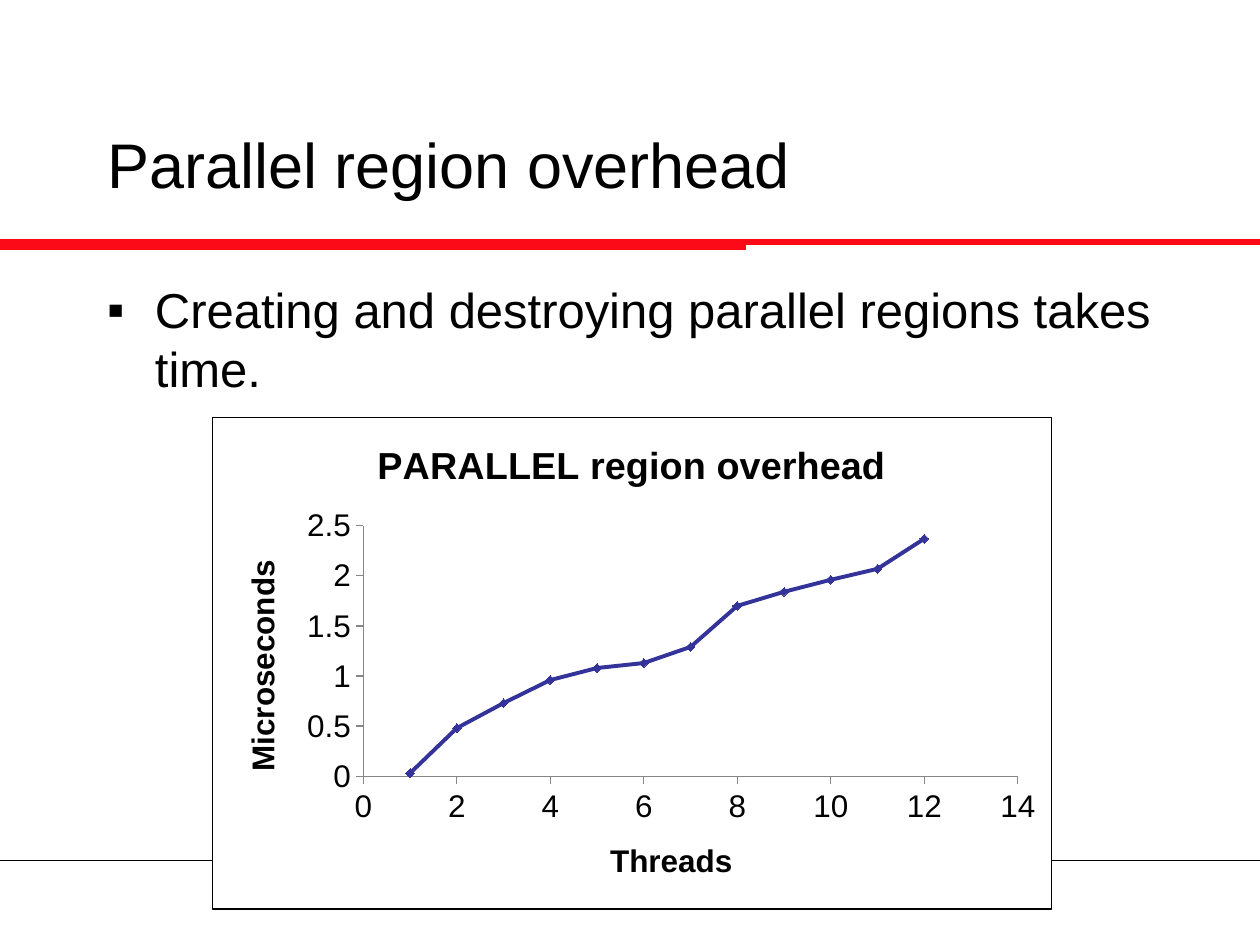
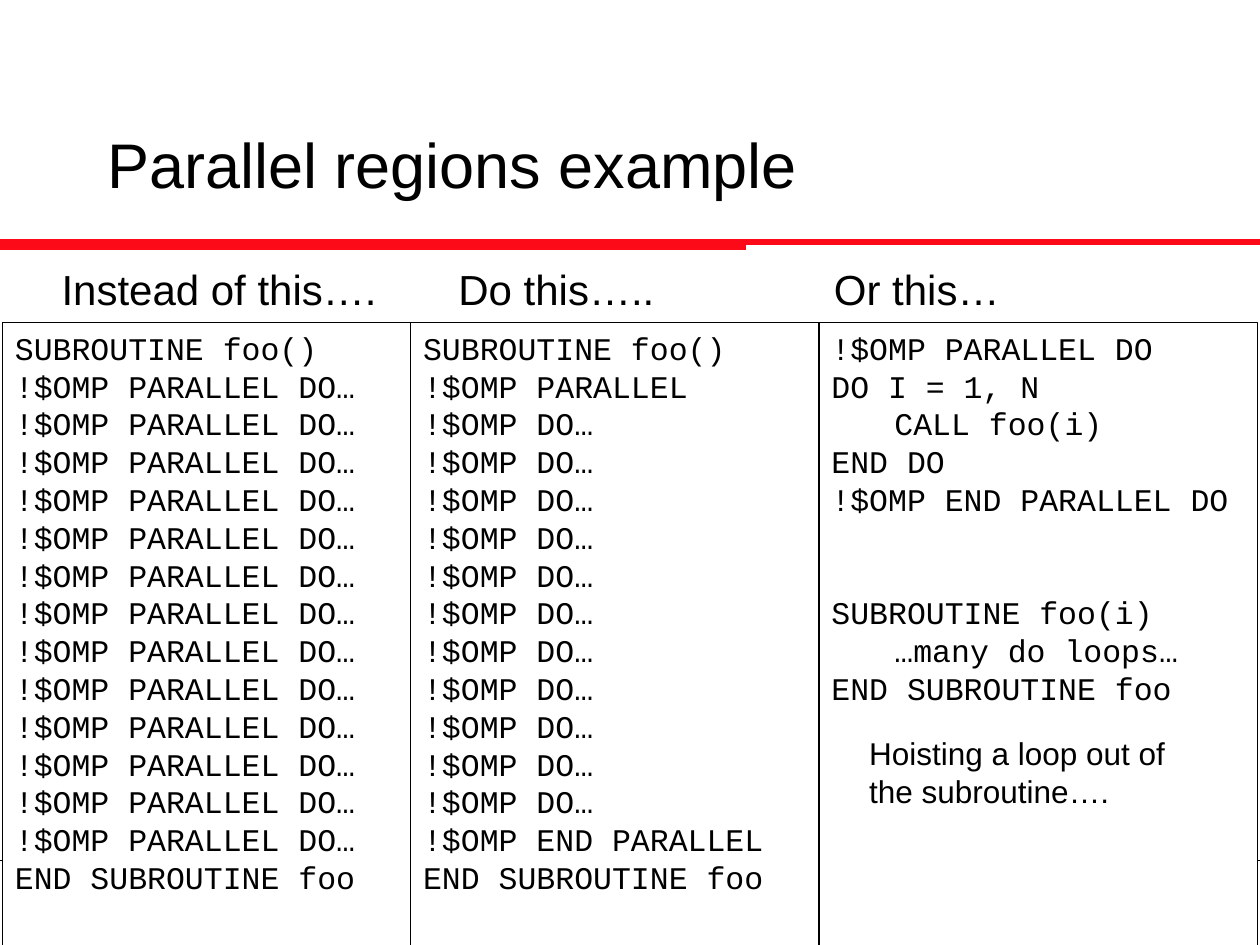
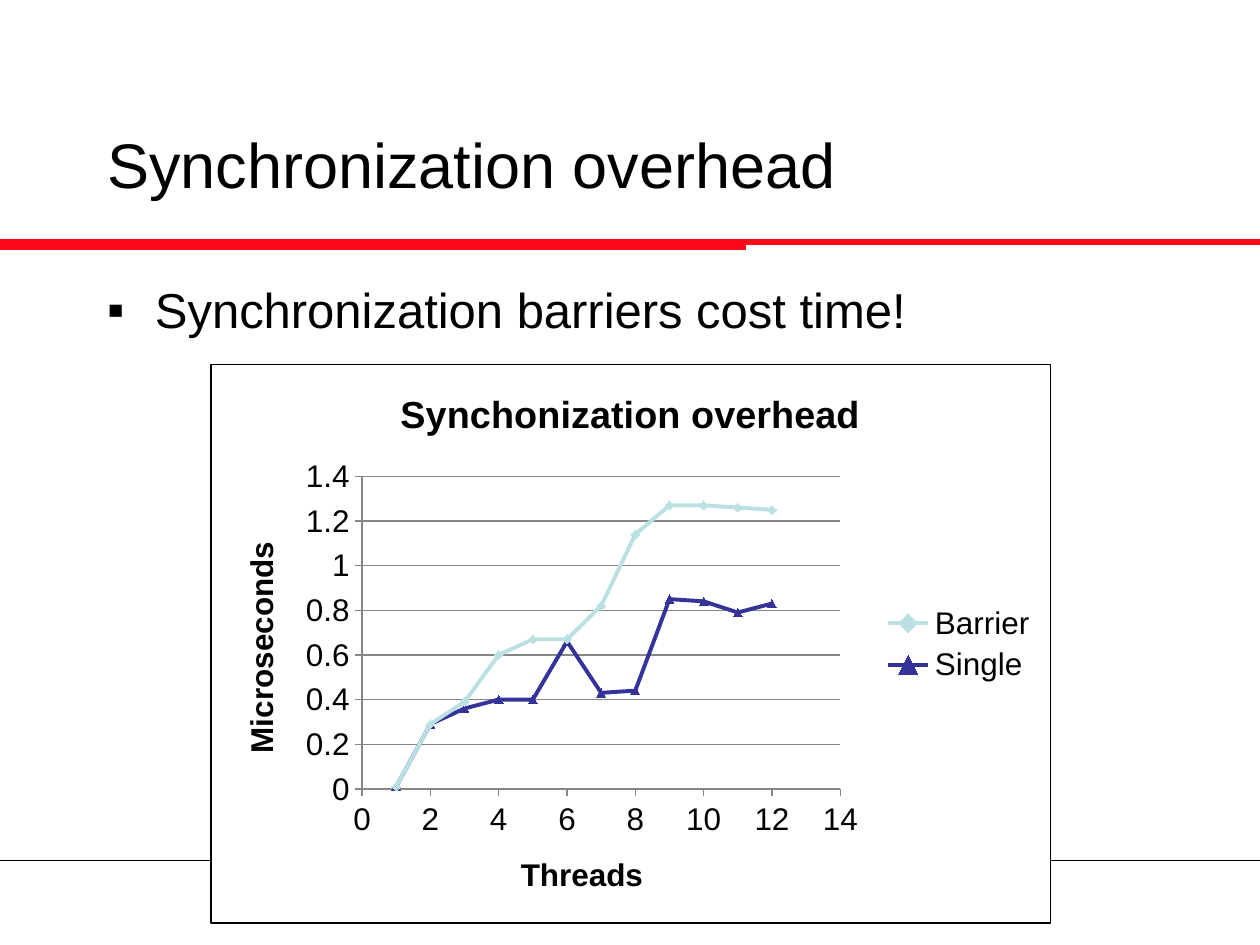
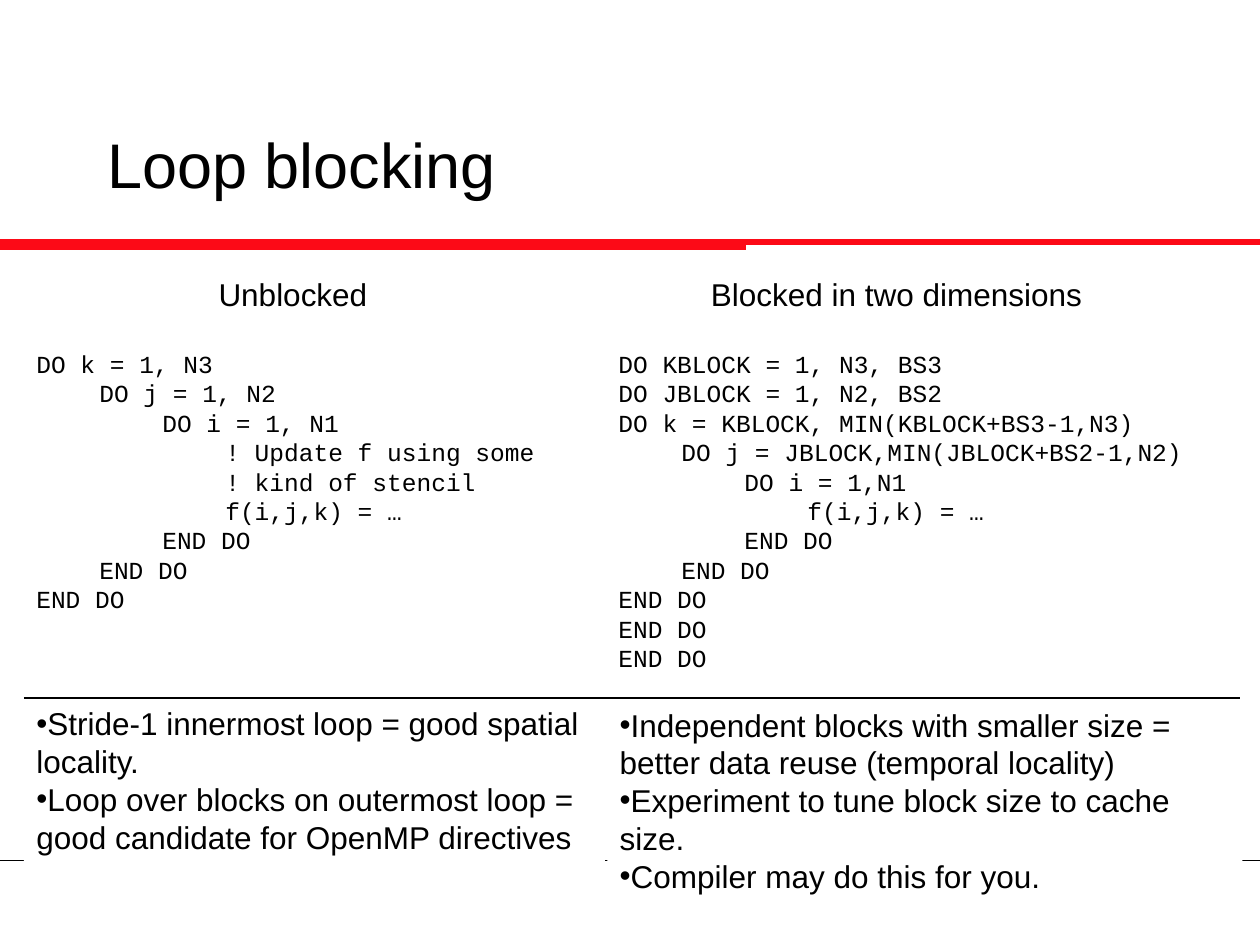
"""Build four slides on parallel regions, synchronization and loop blocking."""
from dataclasses import dataclass
from itertools import accumulate
from typing import NamedTuple

from lxml import etree
from pptx import Presentation
from pptx import util as u
from pptx.chart.data import XyChartData
from pptx.dml.color import RGBColor
from pptx.enum import chart as charts, shapes, text
from pptx.oxml import parse_xml
from pptx.oxml.ns import nsdecls, qn

WIDTH, HEIGHT = u.Inches(10), u.Inches(7.5)
COLUMN, ROW = WIDTH / 100, HEIGHT / 75
TITLE_AND_BODY, TITLE_ONLY = 1, 5


@dataclass(frozen=True)
class Theme:
    """Colours, fonts and type sizes of the deck."""
    black: str = "000000"
    white: str = "FFFFFF"
    red: str = "FC0A17"
    navy: str = "333399"
    pale: str = "BBE0E3"
    grey: str = "868686"
    sans: str = "Arial"
    mono: str = "Courier New"
    title: float = 36
    body: float = 28
    heading: float = 24
    chart_title: float = 21.6
    normal: float = 18
    code: float = 14
    thin: float = 0.75


THEME = Theme()


class Frame(NamedTuple):
    """A rectangle in grid columns and rows."""
    left: float
    top: float
    width: float
    height: float

    def lengths(self) -> tuple[int, int, int, int]:
        """Return left, top, width and height as slide lengths."""
        return (int(self.left * COLUMN), int(self.top * ROW),
                int(self.width * COLUMN), int(self.height * ROW))


class Rule(NamedTuple):
    """A horizontal line in grid units."""
    left: float
    right: float
    top: float
    color: str
    weight: float


class Panel(NamedTuple):
    """A bordered listing with the heading above it."""
    width: float
    height: float
    lines: list[str]
    heading: str
    heading_left: float
    heading_width: float


class Caption(NamedTuple):
    """Text with its frame."""
    frame: Frame
    lines: list[str]


class Series(NamedTuple):
    """One chart line."""
    name: str
    values: list[float]
    color: str
    marker: charts.XL_MARKER_STYLE


class Graph(NamedTuple):
    """A scatter chart with its scale and the plot's share of its area."""
    title: str
    frame: Frame
    plot: tuple[float, float, float, float]
    maximum: float
    step: float
    gridlines: bool
    series: list[Series]


MASTER_RULES = [
    Rule(0, 100, 19.2, THEME.red, 3),
    Rule(0, 59.2, 19.4, THEME.red, 6.5),
    Rule(0, 100, 68.3, THEME.black, 0.25),
]
TITLE_FRAME = Frame(7.5, 6.7, 85, 12.5)

REGION_GRAPH = Graph(
    "PARALLEL region overhead", Frame(16.8, 33.1, 66.7, 39.1),
    (0.18, 0.22, 0.78, 0.51), 2.5, 0.5, False,
    [Series("Series 1", [0.03, 0.48, 0.73, 0.96, 1.08, 1.13, 1.29, 1.7, 1.84,
                         1.96, 2.07, 2.37],
            THEME.navy, charts.XL_MARKER_STYLE.DIAMOND)])
SYNC_GRAPH = Graph(
    "Synchonization overhead", Frame(16.7, 28.9, 66.7, 44.4),
    (0.18, 0.2, 0.57, 0.56), 1.4, 0.2, True,
    [Series("Barrier", [0.01, 0.29, 0.39, 0.6, 0.67, 0.67, 0.82, 1.14, 1.27,
                        1.27, 1.26, 1.25],
            THEME.pale, charts.XL_MARKER_STYLE.DIAMOND),
     Series("Single", [0.01, 0.29, 0.36, 0.4, 0.4, 0.66, 0.43, 0.44, 0.85,
                       0.84, 0.79, 0.83],
            THEME.navy, charts.XL_MARKER_STYLE.TRIANGLE)])

HOISTED_CALL = ["!$OMP PARALLEL DO", "DO I = 1, N", "\tCALL foo(i)", "END DO",
                "!$OMP END PARALLEL DO"]
HOISTED_ROUTINE = ["SUBROUTINE foo(i)", "\t…many do loops…",
                   "END SUBROUTINE foo"]
PANELS = [
    Panel(32.4, 49.5,
          ["SUBROUTINE foo()", *["!$OMP PARALLEL DO…"] * 13,
           "END SUBROUTINE foo"],
          "Instead of this….", 3.9, 31.7),
    Panel(32.4, 49.5,
          ["SUBROUTINE foo()", "!$OMP PARALLEL", *["!$OMP DO…"] * 11,
           "!$OMP END PARALLEL", "END SUBROUTINE foo"],
          "Do this…..", 35.4, 29.6),
    Panel(34.8, 52.5, HOISTED_CALL + HOISTED_ROUTINE, "Or this…", 65.2, 34.8),
]

BLOCKING_HEADINGS = [
    Caption(Frame(1.9, 21.3, 42.7, 4), ["Unblocked"]),
    Caption(Frame(49.8, 21.3, 42.7, 4), ["Blocked in two dimensions"]),
]
BLOCKING_CODE = [
    Caption(Frame(1.9, 27.2, 42.7, 22.2), [
        "DO k = 1, N3",
        "\tDO j = 1, N2",
        "\t\tDO i = 1, N1",
        "\t\t\t! Update f using some",
        "\t\t\t! kind of stencil",
        "\t\t\tf(i,j,k) = …",
        "\t\tEND DO",
        "\tEND DO",
        "END DO"]),
    Caption(Frame(48.1, 27.2, 50.4, 26.9), [
        "DO KBLOCK = 1, N3, BS3",
        "DO JBLOCK = 1, N2, BS2",
        "DO k = KBLOCK, MIN(KBLOCK+BS3-1,N3)",
        "\tDO j = JBLOCK,MIN(JBLOCK+BS2-1,N2)",
        "\t\tDO i = 1,N1",
        "\t\t\tf(i,j,k) = …",
        "\t\tEND DO",
        "\tEND DO",
        *["END DO"] * 3]),
]
BLOCKING_NOTES = [
    Caption(Frame(1.9, 55.4, 46.1, 13.1), [
        "Stride-1 innermost loop = good spatial locality.",
        "Loop over blocks on outermost loop = good candidate for OpenMP "
        "directives"]),
    Caption(Frame(48.2, 55.5, 50.4, 16.2), [
        "Independent blocks with smaller size = better data reuse "
        "(temporal locality)",
        "Experiment to tune block size to cache size.",
        "Compiler may do this for you."]),
]


def rgb(color: str) -> RGBColor:
    """Turn a hex string into a colour."""
    return RGBColor.from_string(color)


def style_font(font, size: float, name: str = THEME.sans,
               bold: bool = False) -> None:
    """Give a font its face, size, weight and black colour."""
    font.name, font.size, font.bold = name, u.Pt(size), bold
    font.color.rgb = rgb(THEME.black)


def style_line(line, color: str, weight: float) -> None:
    """Give a line its colour and weight."""
    line.color.rgb, line.width = rgb(color), u.Pt(weight)


def write(frame, lines: list[str], *, size: float = THEME.normal,
          font: str = THEME.sans, align=text.PP_ALIGN.LEFT,
          anchor=text.MSO_ANCHOR.TOP, bullet: str = "", indent: float = 0,
          gaps: dict[int, float] | None = None,
          fit=text.MSO_AUTO_SIZE.SHAPE_TO_FIT_TEXT) -> None:
    """Fill a text frame with one formatted paragraph per line."""
    frame.word_wrap, frame.auto_size = True, fit
    frame.vertical_anchor = anchor
    for index, line in enumerate(lines):
        paragraph = frame.add_paragraph() if index else frame.paragraphs[0]
        paragraph.alignment = align
        if gaps and index in gaps:
            paragraph.space_before = u.Pt(gaps[index])
        properties = paragraph._p.get_or_add_pPr()
        if bullet:
            properties.set("marL", str(u.Inches(indent)))
            properties.set("indent", str(-u.Inches(indent)))
            etree.SubElement(properties, qn("a:buFont"), typeface=THEME.sans)
            etree.SubElement(properties, qn("a:buChar"), char=bullet)
        if line.startswith("\t"):
            stops = etree.SubElement(properties, qn("a:tabLst"))
            for stop in (0.5, 1, 1.5):
                etree.SubElement(stops, qn("a:tab"), pos=str(u.Inches(stop)),
                                 algn="l")
        run = paragraph.add_run()
        run.text = line
        style_font(run.font, size, font)


def place(shape, frame: Frame) -> None:
    """Move a shape to its frame."""
    shape.left, shape.top, shape.width, shape.height = frame.lengths()


def fill_white(shape) -> None:
    """Fill a shape with white."""
    shape.fill.solid()
    shape.fill.fore_color.rgb = rgb(THEME.white)


def add_label(slide, frame: Frame, lines: list[str], **style) -> None:
    """Add a text box."""
    write(slide.shapes.add_textbox(*frame.lengths()).text_frame, lines, **style)


def add_panel(slide, frame: Frame, lines: list[str], *, border: bool = False,
              **style) -> None:
    """Add a white rectangle holding text."""
    shape = slide.shapes.add_shape(shapes.MSO_SHAPE.RECTANGLE, *frame.lengths())
    shape.shadow.inherit = False
    fill_white(shape)
    if border:
        style_line(shape.line, THEME.black, THEME.thin)
    else:
        shape.line.fill.background()
    write(shape.text_frame, lines, **style)


def add_rule(slide, rule: Rule):
    """Add a horizontal line and return it."""
    top = int(rule.top * ROW)
    line = slide.shapes.add_connector(
        shapes.MSO_CONNECTOR.STRAIGHT, int(rule.left * COLUMN), top,
        int(rule.right * COLUMN), top)
    style_line(line.line, rule.color, rule.weight)
    etree.SubElement(line.element.spPr, qn("a:effectLst"))
    return line


def move_rules_to_master(presentation, slide) -> None:
    """Draw the shared lines and hand them to the slide master."""
    for number, rule in enumerate(MASTER_RULES, start=100):
        line = add_rule(slide, rule)
        line.element.nvCxnSpPr.cNvPr.set("id", str(number))
        presentation.slide_master.shapes.element.append(line.element)


def add_slide(presentation, title: str, body: str = "",
              body_height: float = 0):
    """Add a slide with its title and, if given, one bulleted line."""
    layout = TITLE_AND_BODY if body else TITLE_ONLY
    slide = presentation.slides.add_slide(presentation.slide_layouts[layout])
    place(slide.shapes.title, TITLE_FRAME)
    write(slide.shapes.title.text_frame, [title], size=THEME.title,
          anchor=text.MSO_ANCHOR.MIDDLE, fit=text.MSO_AUTO_SIZE.NONE)
    if body:
        placeholder = slide.placeholders[1]
        place(placeholder, Frame(7.5, 21.7, 85, body_height))
        fill_white(placeholder)
        write(placeholder.text_frame, [body], size=THEME.body, bullet="▪",
              indent=0.38, fit=text.MSO_AUTO_SIZE.NONE)
    return slide


def style_axis(axis, title: str, maximum: float, step: float,
               gridlines: bool) -> None:
    """Give an axis its title, scale and lines."""
    axis.minimum_scale, axis.maximum_scale = 0, maximum
    axis.major_unit = step
    axis.major_tick_mark = charts.XL_TICK_MARK.OUTSIDE
    axis.has_major_gridlines = gridlines
    style_line(axis.format.line, THEME.grey, THEME.thin)
    if gridlines:
        style_line(axis.major_gridlines.format.line, THEME.grey, THEME.thin)
    axis.tick_labels.number_format = "General"
    axis.tick_labels.number_format_is_linked = False
    write_chart_title(axis.axis_title, title, THEME.normal)


def write_chart_title(title, words: str, size: float) -> None:
    """Write a bold chart or axis title."""
    run = title.text_frame.paragraphs[0].add_run()
    run.text = words
    style_font(run.font, size, bold=True)


def frame_chart(chart, plot: tuple[float, float, float, float]) -> None:
    """Give a chart its background, border and plot position."""
    chart.element.find(qn("c:chart")).addnext(parse_xml(
        f'<c:spPr {nsdecls("c", "a")}>'
        f'<a:solidFill><a:srgbClr val="{THEME.white}"/></a:solidFill>'
        f'<a:ln w="{u.Pt(THEME.thin)}"><a:solidFill>'
        f'<a:srgbClr val="{THEME.black}"/></a:solidFill></a:ln></c:spPr>'))
    area = chart.element.find(f'.//{qn("c:plotArea")}')
    for old in area.findall(qn("c:layout")):
        area.remove(old)
    layout = etree.Element(qn("c:layout"))
    manual = etree.SubElement(layout, qn("c:manualLayout"))
    settings = [("layoutTarget", "inner"), ("xMode", "edge"),
                ("yMode", "edge"), *zip("xywh", map(str, plot))]
    for tag, value in settings:
        etree.SubElement(manual, qn(f"c:{tag}"), val=value)
    area.insert(0, layout)


def add_graph(slide, graph: Graph) -> None:
    """Add a scatter chart of microseconds by thread count."""
    data = XyChartData()
    for series in graph.series:
        points = data.add_series(series.name)
        for threads, value in enumerate(series.values, start=1):
            points.add_data_point(threads, value)
    chart = slide.shapes.add_chart(charts.XL_CHART_TYPE.XY_SCATTER_LINES,
                                   *graph.frame.lengths(), data).chart
    style_font(chart.font, THEME.normal)
    chart.has_title = True
    write_chart_title(chart.chart_title, graph.title, THEME.chart_title)
    chart.chart_title.include_in_layout = False
    chart.has_legend = len(graph.series) > 1
    if chart.has_legend:
        chart.legend.position = charts.XL_LEGEND_POSITION.RIGHT
        chart.legend.include_in_layout = False
    style_axis(chart.category_axis, "Threads", 14, 2, False)
    style_axis(chart.value_axis, "Microseconds", graph.maximum, graph.step,
               graph.gridlines)
    chart.plots[0].vary_by_categories = False
    for drawn, series in zip(chart.plots[0].series, graph.series):
        style_line(drawn.format.line, series.color, 2.25)
        drawn.marker.style, drawn.marker.size = series.marker, 5
        drawn.marker.format.fill.solid()
        drawn.marker.format.fill.fore_color.rgb = rgb(series.color)
        style_line(drawn.marker.format.line, series.color, THEME.thin)
    frame_chart(chart, graph.plot)


def add_region_example(presentation) -> None:
    """Add the slide that compares three listings."""
    slide = add_slide(presentation, "Parallel regions example")
    lefts = accumulate((panel.width for panel in PANELS), initial=0.2)
    for panel, left in zip(PANELS, lefts):
        gaps = ({len(HOISTED_CALL): 2 * 1.2 * THEME.normal}
                if panel is PANELS[-1] else None)
        add_panel(slide, Frame(left, 25.6, panel.width, panel.height),
                  panel.lines, border=True, font=THEME.mono, gaps=gaps)
    for panel in PANELS:
        add_label(slide, Frame(panel.heading_left, 20.4, panel.heading_width, 5),
                  [panel.heading], size=THEME.heading)
    add_label(slide, Frame(68, 57.8, 27.2, 7.1),
              ["Hoisting a loop out of the subroutine…."])


def add_loop_blocking(presentation) -> None:
    """Add the slide that compares plain and blocked loops."""
    slide = add_slide(presentation, "Loop blocking")
    for caption in BLOCKING_CODE:
        add_label(slide, *caption, size=THEME.code, font=THEME.mono)
    for caption in BLOCKING_HEADINGS:
        add_label(slide, *caption, align=text.PP_ALIGN.CENTER)
    for caption in BLOCKING_NOTES:
        add_panel(slide, *caption, bullet="•")
    add_rule(slide, Rule(1.9, 98.4, 55.4, THEME.black, THEME.thin))


def main() -> None:
    """Build and save the presentation."""
    presentation = Presentation()
    presentation.slide_width, presentation.slide_height = WIDTH, HEIGHT
    slide = add_slide(presentation, "Parallel region overhead",
                      "Creating and destroying parallel regions takes time.",
                      11.4)
    move_rules_to_master(presentation, slide)
    add_graph(slide, REGION_GRAPH)
    add_region_example(presentation)
    slide = add_slide(presentation, "Synchronization overhead",
                      "Synchronization barriers cost time!", 7.2)
    add_graph(slide, SYNC_GRAPH)
    add_loop_blocking(presentation)
    presentation.save("out.pptx")


if __name__ == "__main__":
    main()
